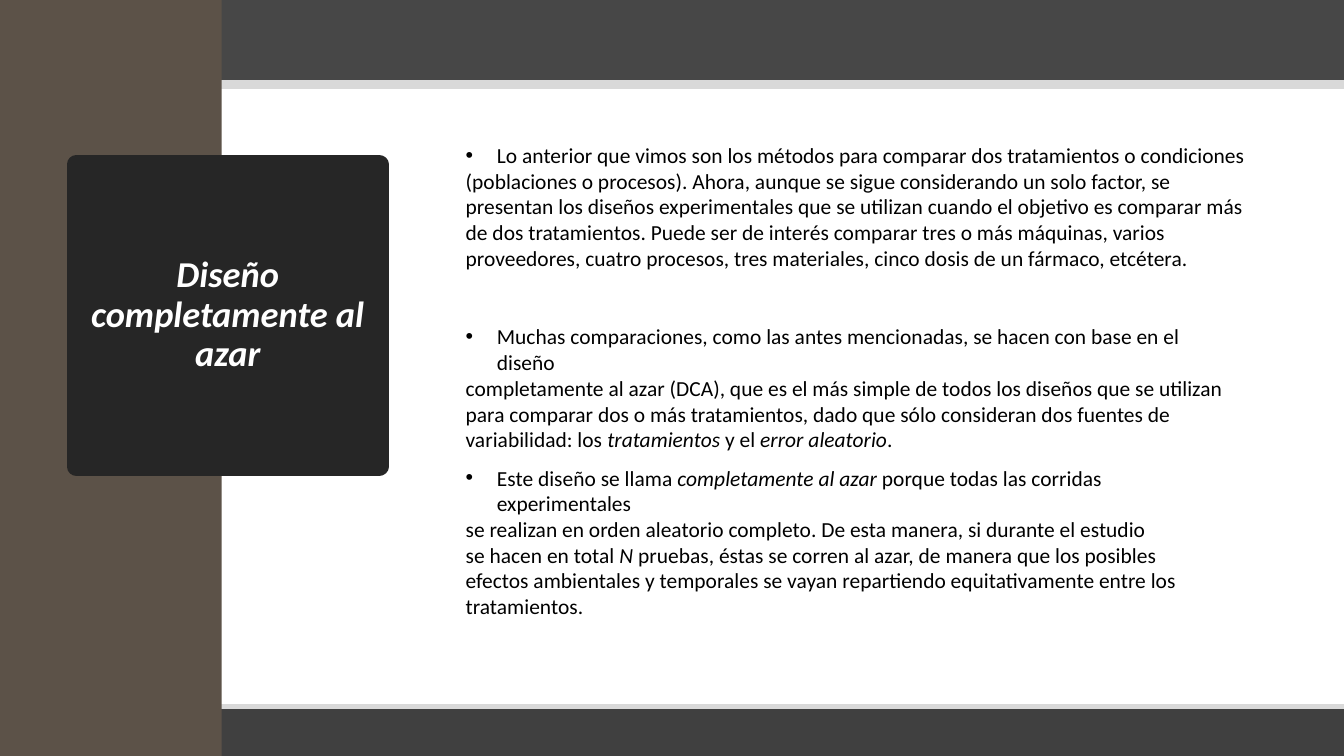
from lxml import etree
from pptx import Presentation
from pptx import util as u
from pptx.dml import color
from pptx.enum import shapes, text
from pptx.oxml import ns

FONT = "Calibri"
WIDE, HIGH = 13.33, 7.5
NOTES = [
    ((4.52, 1.36, 8.05, 1.58), [
        "Lo anterior que vimos son los métodos para comparar dos tratamientos o condiciones",
        "(poblaciones o procesos). Ahora, aunque se sigue considerando un solo factor, se "
        "presentan los diseños experimentales que se utilizan cuando el objetivo es comparar "
        "más de dos tratamientos. Puede ser de interés comparar tres o más máquinas, varios "
        "proveedores, cuatro procesos, tres materiales, cinco dosis de un fármaco, etcétera.",
    ]),
    ((4.52, 3.16, 7.86, 1.18), [
        "Muchas comparaciones, como las antes mencionadas, se hacen con base en el diseño",
        "completamente al azar (DCA), que es el más simple de todos los diseños que se utilizan",
        "para comparar dos o más tratamientos, dado que sólo consideran dos fuentes de",
        "variabilidad: los *tratamientos *y el *error aleatorio*.",
    ]),
    ((4.52, 4.56, 7.86, 1.18), [
        "Este diseño se llama *completamente al azar *porque todas las corridas experimentales",
        "se realizan en orden aleatorio completo. De esta manera, si durante el estudio",
        "se hacen en total *N *pruebas, éstas se corren al azar, de manera que los posibles",
        "efectos ambientales y temporales se vayan repartiendo equitativamente entre los "
        "tratamientos.",
    ]),
]


def tint(code):
    return color.RGBColor.from_string(code)


def block(slide, box, fill, edge=None, width=0):
    shape = slide.shapes.add_shape(
        shapes.MSO_SHAPE.RECTANGLE, *[u.Inches(v) for v in box])
    shape.shadow.inherit = False
    shape.fill.solid()
    shape.fill.fore_color.rgb = tint(fill)
    if edge:
        shape.line.color.rgb = tint(edge)
        shape.line.width = u.Pt(width)
    else:
        shape.line.fill.background()
    return shape


def style(run, size, code, bold=False, slant=False):
    font = run.font
    font.name, font.size = FONT, u.Pt(size)
    font.bold, font.italic = bold, slant
    font.color.rgb = tint(code)


def frame(slide, box):
    x, y, w, h = box
    block(slide, (x - 0.1, y - 0.07, w + 0.2, 0.91), "474747", "D9D9D9", 6)
    block(slide, (x - 0.1, y + h - 0.49, w + 0.2, 0.6), "404040", "D9D9D9", 3)
    block(slide, (x, y, 2.2, h), "5C5248")


def title(slide, box, words):
    body = block(slide, box, "262626", "262626", 13.75).text_frame
    body.word_wrap = True
    body.vertical_anchor = text.MSO_ANCHOR.MIDDLE
    body.text = words
    para = body.paragraphs[0]
    para.alignment = text.PP_ALIGN.CENTER
    para.line_spacing = 0.9
    style(para.runs[0], 26, "FFFFFF", True, True)


def bullet(para):
    props = para._p.get_or_add_pPr()
    inset = u.Inches(0.31)
    props.set("marL", str(inset))
    props.set("indent", str(-inset))
    etree.SubElement(props, ns.qn("a:buFont")).set("typeface", "Arial")
    etree.SubElement(props, ns.qn("a:buChar")).set("char", "•")


def note(slide, box, lines):
    body = slide.shapes.add_textbox(*[u.Inches(v) for v in box]).text_frame
    body.word_wrap = True
    for row, line in enumerate(lines):
        para = body.add_paragraph() if row else body.paragraphs[0]
        if row == 0:
            bullet(para)
        for turn, part in enumerate(line.split("*")):
            run = para.add_run()
            run.text = part
            style(run, 15.3, "000000", slant=turn % 2 == 1)


def main():
    deck = Presentation()
    deck.slide_width, deck.slide_height = u.Inches(WIDE), u.Inches(HIGH)
    slide = deck.slides.add_slide(deck.slide_layouts[6])
    frame(slide, (0, 0, WIDE, HIGH))
    title(slide, (0.76, 1.63, 3, 3), "Diseño completamente al azar")
    for box, lines in NOTES:
        note(slide, box, lines)
    deck.save("out.pptx")


if __name__ == "__main__":
    main()
